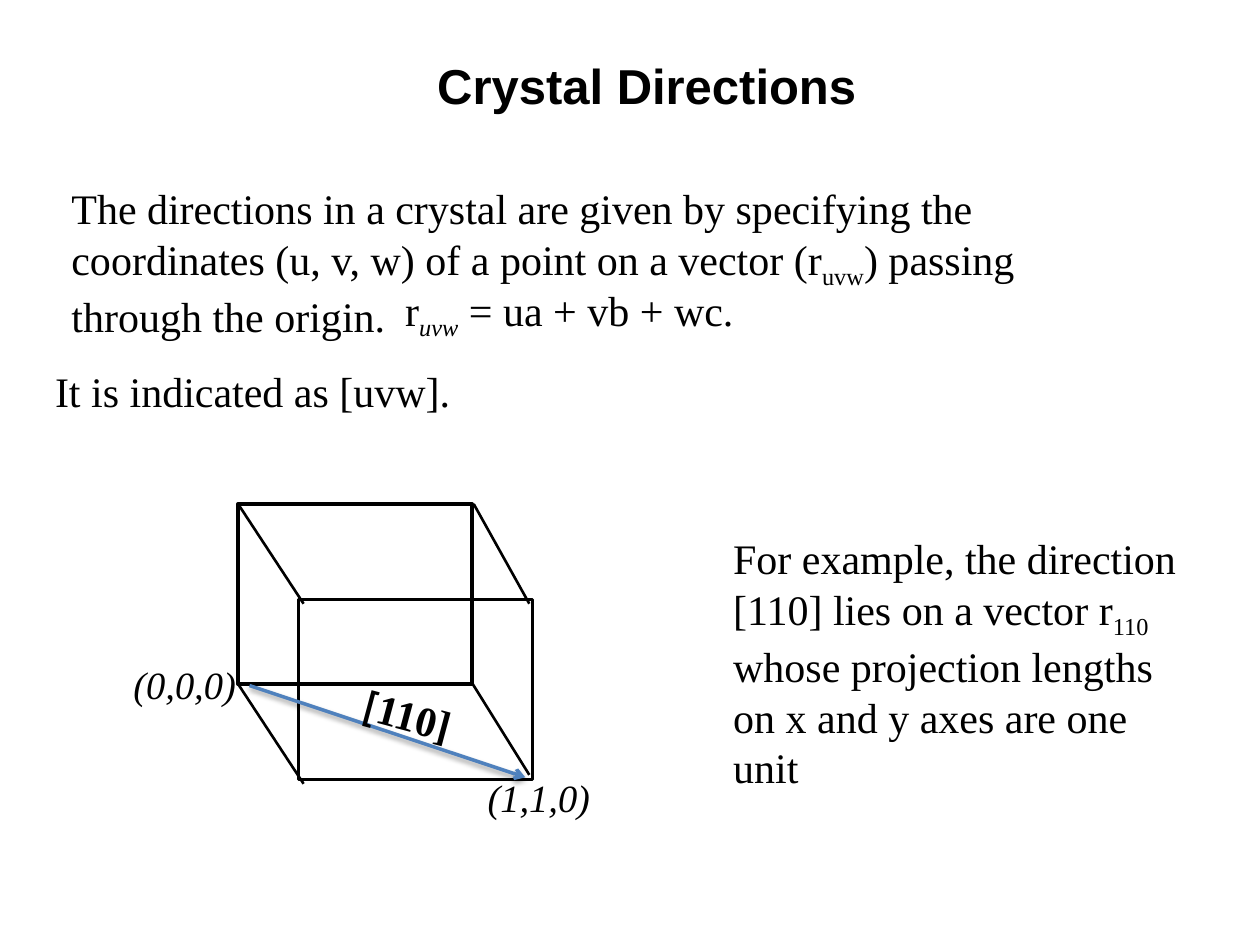
from lxml import etree
from pptx import Presentation
from pptx.dml.color import RGBColor
from pptx.enum.shapes import MSO_CONNECTOR, MSO_SHAPE
from pptx.enum.text import MSO_ANCHOR, MSO_AUTO_SIZE, PP_ALIGN
from pptx.oxml import parse_xml
from pptx.oxml.ns import nsdecls, qn
from pptx.util import Cm, Pt

STRAIGHT = MSO_CONNECTOR.STRAIGHT
RECTANGLE = MSO_SHAPE.RECTANGLE
TOP = MSO_ANCHOR.TOP
GROW = MSO_AUTO_SIZE.SHAPE_TO_FIT_TEXT
LEFT = PP_ALIGN.LEFT

BLACK = RGBColor(0x00, 0x00, 0x00)
BLUE = RGBColor(0x4F, 0x81, 0xBD)
SERIF = "Times New Roman"

deck = Presentation()
deck.slide_width, deck.slide_height = Cm(25.4), Cm(19.05)
page = deck.slides.add_slide(deck.slide_layouts[5])


def add_text(left, top, width, height, paragraphs, size=24, italic=False, wrap=True):
    """Add a text box; odd-numbered spans of each paragraph are subscripts."""
    box = page.shapes.add_textbox(Cm(left), Cm(top), Cm(width), Cm(height))
    frame = box.text_frame
    frame.word_wrap = wrap
    frame.auto_size = GROW
    for number, spans in enumerate(paragraphs):
        para = frame.add_paragraph() if number else frame.paragraphs[0]
        para.font.name = SERIF
        para.font.size = Pt(size)
        para.font.italic = italic
        para.font.color.rgb = BLACK
        for index, text in enumerate(spans):
            span = para.add_run()
            span.text = text
            if index % 2:
                span._r.get_or_add_rPr().set("baseline", "-25000")
    return box


def add_line(start, end, color, width):
    line = page.shapes.add_connector(STRAIGHT, *map(Cm, start + end))
    line.line.color.rgb = color
    line.line.width = Pt(width)
    etree.SubElement(line._element.spPr, qn("a:effectLst"))
    return line


# Title
title = page.shapes.title
title.left, title.top, title.width, title.height = Cm(8.56), Cm(0.99), Cm(9.86), Cm(1.45)
title.text_frame.text = "Crystal Directions"
title.text_frame.vertical_anchor = TOP
title.text_frame.auto_size = GROW
heading = title.text_frame.paragraphs[0]
heading.alignment = LEFT
heading.font.name = "Arial"
heading.font.size = Pt(28)
heading.font.bold = True
heading.font.color.rgb = BLACK

# Definition and vector formula
add_text(1.19, 3.56, 22.12, 3.33, [
    ["The directions in a crystal are given by specifying the"],
    ["coordinates (u, v, w) of a point on a vector (r", "uvw", ") passing"],
    ["through the origin."],
])
formula = add_text(7.92, 5.61, 8.92, 1.27, [["r", "uvw", " = ua + vb + wc."]])
formula.text_frame.paragraphs[0].runs[1].font.italic = True
add_text(0.86, 7.24, 20.7, 1.27, [["It is indicated as [uvw]."]])

# Unit cell: back and front faces
FACE_WIDTH, FACE_HEIGHT = 4.72, 3.63
for left, top in [(4.8, 10.16), (6.02, 12.09)]:
    face = page.shapes.add_shape(RECTANGLE, Cm(left), Cm(top), Cm(FACE_WIDTH), Cm(FACE_HEIGHT))
    face.shadow.inherit = False
    face.fill.background()
    face.line.color.rgb = BLACK
    face.line.width = Pt(2)

# Unit cell: edges that join the faces
for start, end in [
    ((9.55, 10.16), (10.67, 12.17)),
    ((4.8, 10.16), (6.12, 12.17)),
    ((9.53, 13.79), (10.67, 15.62)),
    ((4.8, 13.79), (6.12, 15.8)),
]:
    add_line(start, end, BLACK, 1.5)

# Corner coordinates
for left, top, label in [(2.44, 13.21, "(0,0,0)"), (9.58, 15.47, "(1,1,0)")]:
    add_text(left, top, 2.59, 1.19, [[label]], size=22, italic=True, wrap=False)

# Direction arrow with its soft shadow
arrow = add_line((5.03, 13.82), (10.59, 15.67), BLUE, 2)
etree.SubElement(arrow.line._get_or_add_ln(), qn("a:tailEnd"), type="arrow")
arrow._element.spPr.find(qn("a:effectLst")).append(parse_xml(
    f'<a:outerShdw {nsdecls("a")} blurRad="40000" dist="20000" dir="5400000" rotWithShape="0">'
    '<a:srgbClr val="000000"><a:alpha val="38000"/></a:srgbClr></a:outerShdw>'
))

# Direction label
direction = add_text(7.06, 13.94, 3.58, 1.27, [["["]])
direction.rotation = 15
label = direction.text_frame.paragraphs[0]
label.font.bold = True
label.runs[0].font.name = "Calibri"
label.add_run().text = "110]"

# Example
add_text(14.53, 10.62, 9.47, 5.38, [
    ["For example, the direction [110] lies on a vector r", "110"],
    ["whose projection lengths on x and y axes are one unit"],
])

deck.save("out.pptx")
